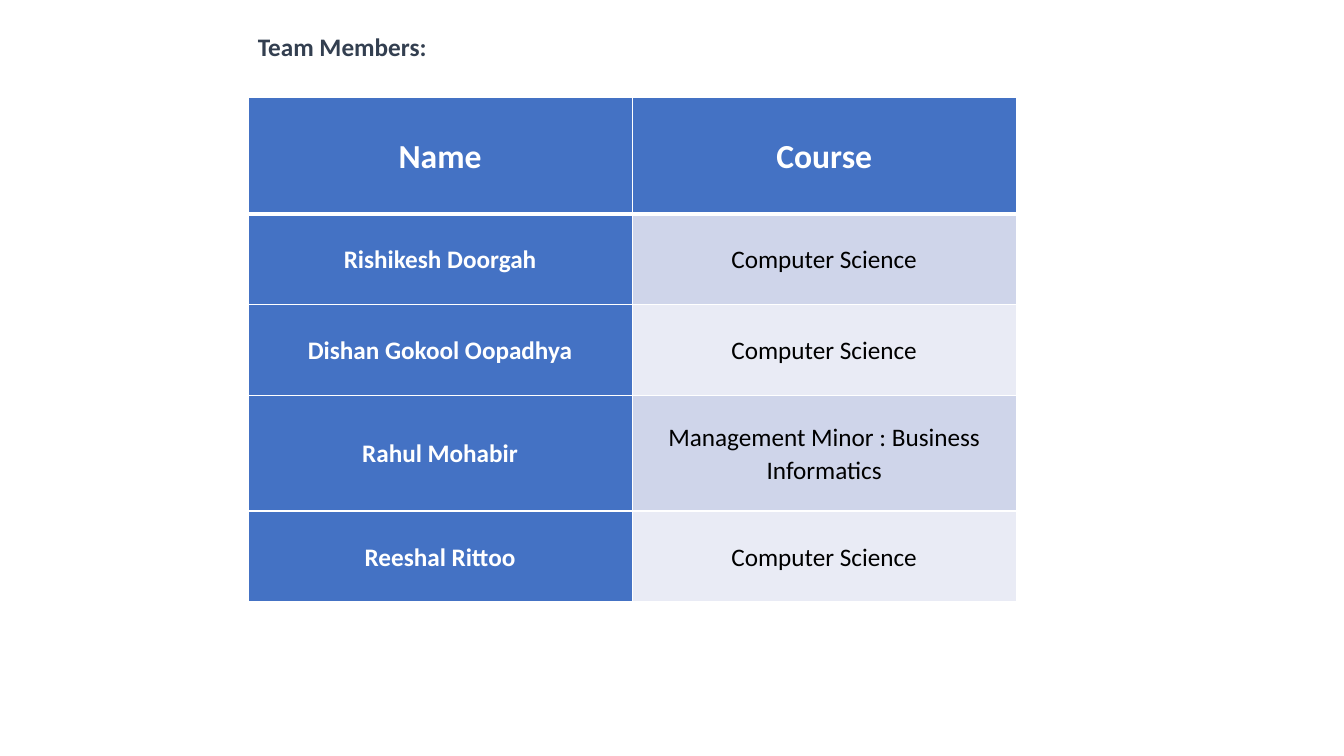
from lxml.etree import SubElement
from pptx import Presentation
from pptx.dml.color import RGBColor
from pptx.enum.text import MSO_ANCHOR, MSO_AUTO_SIZE, PP_ALIGN
from pptx.oxml.ns import qn
from pptx.util import Inches, Pt

COLORS = {
    "title": "333F50",
    "accent": "4472C4",
    "band_dark": "CFD5EA",
    "band_light": "E9EBF5",
    "white": "FFFFFF",
    "black": "000000",
}
HEADINGS = ("Name", "Course")
MEMBERS = [
    ("Rishikesh Doorgah", "Computer Science"),
    ("Dishan Gokool Oopadhya", "Computer Science"),
    ("Rahul Mohabir", "Management Minor : Business Informatics"),
    ("Reeshal Rittoo", "Computer Science"),
]
COLUMN_WIDTH = 3.81
ROW_HEIGHTS = (1.15, 0.9, 0.9, 1.15, 0.9)


def write_text(frame, text, size=18, color="white", bold=True, align=PP_ALIGN.LEFT, spacing=None):
    """Put one formatted paragraph into a text frame."""
    paragraph = frame.paragraphs[0]
    paragraph.alignment = align
    paragraph.line_spacing = spacing
    run = paragraph.add_run()
    run.text = text
    run.font.name = "Calibri"
    run.font.size = Pt(size)
    run.font.bold = bold
    run.font.color.rgb = RGBColor.from_string(COLORS[color])


def add_borders(cell, top=1, bottom=1):
    """Draw white lines on the four sides of a cell."""
    properties = cell._tc.get_or_add_tcPr()
    widths = {"a:lnL": 1, "a:lnR": 1, "a:lnT": top, "a:lnB": bottom}
    for position, (side, width) in enumerate(widths.items()):
        line = SubElement(properties, qn(side), w=str(Pt(width)))
        fill = SubElement(line, qn("a:solidFill"))
        SubElement(fill, qn("a:srgbClr"), val=COLORS["white"])
        properties.insert(position, line)


def fill_cell(cell, text, fill, top=1, bottom=1, **text_format):
    """Set the fill, margins, borders and text of a cell."""
    cell.fill.solid()
    cell.fill.fore_color.rgb = RGBColor.from_string(COLORS[fill])
    cell.margin_left = cell.margin_right = Inches(0.07)
    cell.margin_top = cell.margin_bottom = 0
    cell.vertical_anchor = MSO_ANCHOR.MIDDLE
    add_borders(cell, top, bottom)
    write_text(cell.text_frame, text, align=PP_ALIGN.CENTER, spacing=1.07, **text_format)


def add_title(slide, text):
    """Add the heading above the table."""
    title = slide.shapes.add_textbox(Inches(2.46), Inches(0.26), Inches(1.89), Inches(0.4))
    title.text_frame.word_wrap = False
    title.text_frame.auto_size = MSO_AUTO_SIZE.SHAPE_TO_FIT_TEXT
    write_text(title.text_frame, text, color="title")


def add_member_table(slide):
    """Add the table of members and their courses."""
    members = slide.shapes.add_table(
        len(ROW_HEIGHTS), len(HEADINGS), Inches(2.46), Inches(0.97),
        Inches(COLUMN_WIDTH * len(HEADINGS)), Inches(sum(ROW_HEIGHTS)),
    ).table
    members.first_col = True
    for column in members.columns:
        column.width = Inches(COLUMN_WIDTH)
    for row, height in zip(members.rows, ROW_HEIGHTS):
        row.height = Inches(height)
    for column, heading in enumerate(HEADINGS):
        fill_cell(members.cell(0, column), heading, "accent", bottom=3, size=24)
    for row, (name, course) in enumerate(MEMBERS, start=1):
        top = 3 if row == 1 else 1
        band = "band_dark" if row % 2 else "band_light"
        fill_cell(members.cell(row, 0), name, "accent", top=top)
        fill_cell(members.cell(row, 1), course, band, top=top, color="black", bold=False)


def main():
    """Build and save the team slide."""
    deck = Presentation()
    deck.slide_width = Inches(13.33)
    deck.slide_height = Inches(7.5)
    slide = deck.slides.add_slide(deck.slide_layouts[6])
    add_member_table(slide)
    add_title(slide, "Team Members:")
    deck.save("out.pptx")


if __name__ == "__main__":
    main()
